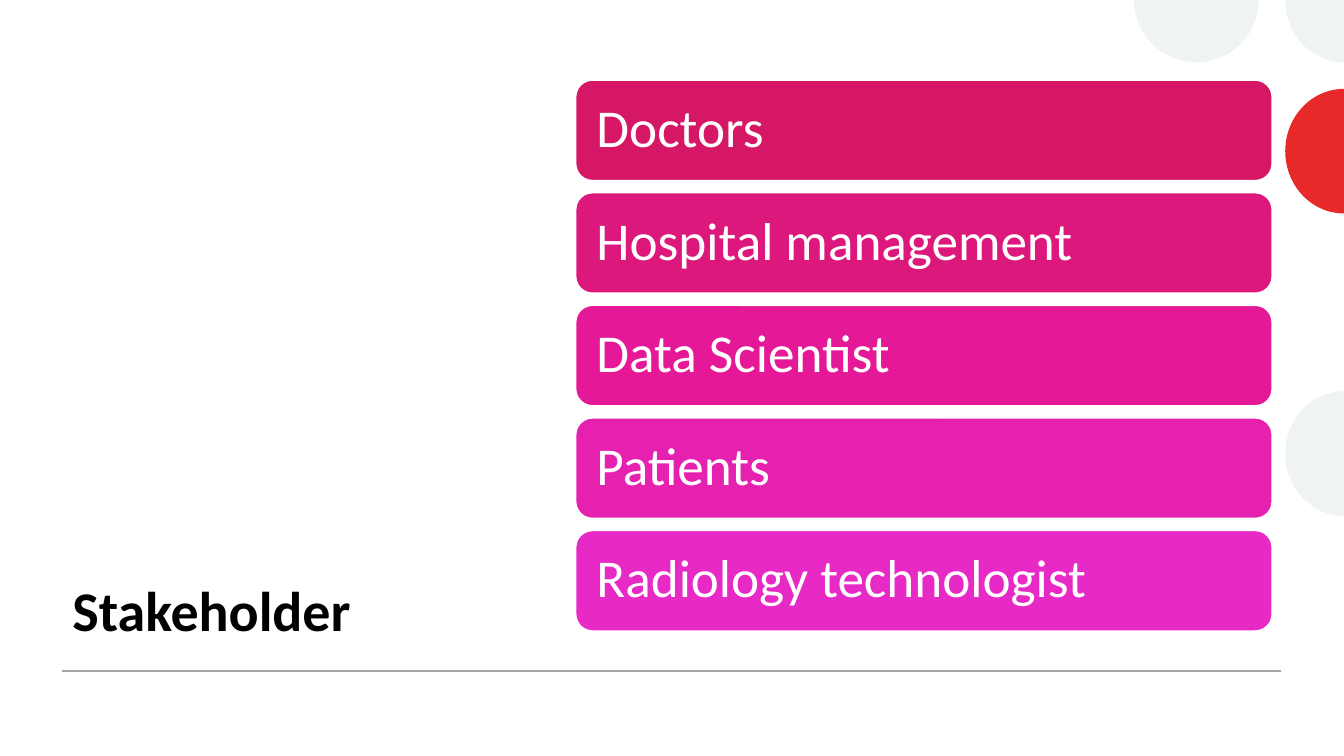
from lxml import etree
from pptx import Presentation
from pptx.dml.color import RGBColor
from pptx.enum.shapes import MSO_CONNECTOR, MSO_SHAPE
from pptx.enum.text import MSO_ANCHOR, PP_ALIGN
from pptx.oxml.ns import qn
from pptx.util import Cm, Pt

STRAIGHT = MSO_CONNECTOR.STRAIGHT
ROUNDED = MSO_SHAPE.ROUNDED_RECTANGLE
BOTTOM, MIDDLE = MSO_ANCHOR.BOTTOM, MSO_ANCHOR.MIDDLE
LEFT = PP_ALIGN.LEFT

WHITE = RGBColor(0xFF, 0xFF, 0xFF)
BLACK = RGBColor(0, 0, 0)
GREY = RGBColor(0xA6, 0xA6, 0xA6)
PALE = RGBColor(0xF0, 0xF3, 0xF3)
RED = RGBColor(0xE7, 0x2A, 0x29)

SLIDE_W, SLIDE_H = Cm(33.87), Cm(19.05)
TITLE_FONT = {"name": "Calibri", "size": Pt(40), "bold": True}
BAR_FONT = {"name": "Calibri", "size": Pt(38), "bold": False}
STAKEHOLDERS = [
    ("Doctors", RGBColor(0xD5, 0x17, 0x65)),
    ("Hospital management", RGBColor(0xDD, 0x18, 0x7D)),
    ("Data Scientist", RGBColor(0xE5, 0x19, 0x97)),
    ("Patients", RGBColor(0xE6, 0x21, 0xAF)),
    ("Radiology technologist", RGBColor(0xE7, 0x29, 0xC6)),
]
DOT_R, DOT_STEP = Cm(1.57), Cm(3.81)
QUARTER = 90 * 60000


def write(tf, text, anchor, spacing, color, font):
    """Put one left-aligned line of formatted text in a text frame."""
    tf.word_wrap = True
    tf.vertical_anchor = anchor
    p = tf.paragraphs[0]
    p.alignment = LEFT
    p.line_spacing = spacing
    r = p.add_run()
    r.text = text
    r.font.color.rgb = color
    for name, value in font.items():
        setattr(r.font, name, value)


def add_title(s, left, top, width, height):
    """Place and format the slide title."""
    sp = s.shapes.title
    sp.left, sp.top, sp.width, sp.height = left, top, width, height
    write(sp.text_frame, "Stakeholder", BOTTOM, 1.0, BLACK, TITLE_FONT)


def add_cut_dot(s, points, first_turn, arcs, color):
    """Draw a cut-off dot whose last segments are clockwise quarter arcs."""
    fb = s.shapes.build_freeform(*points[0])
    fb.add_line_segments(points[1:] + points[:1], close=True)
    sp = fb.convert_to_shape()
    sp.shadow.inherit = False
    sp.fill.solid()
    sp.fill.fore_color.rgb = color
    sp.line.fill.background()
    corners = points + points[:1]
    segments = list(sp._element.iter(qn("a:lnTo")))[-arcs:]
    for i, segment in enumerate(segments):
        (x0, y0), (x1, y1) = corners[i - arcs - 1], corners[i - arcs]
        arc = etree.Element(qn("a:arcTo"), {
            "wR": str(abs(x1 - x0)), "hR": str(abs(y1 - y0)),
            "stAng": str((first_turn + i) * QUARTER), "swAng": str(QUARTER)})
        segment.getparent().replace(segment, arc)


def add_dots(s, left, top, right):
    """Place dots cut by the top and right slide edges, from the first dot's left."""
    mid, end = left + DOT_R, left + 2 * DOT_R
    low = top + DOT_R
    add_cut_dot(s, [(left, top), (end, top), (mid, low)], 0, 2, PALE)
    edge = left + DOT_STEP
    for row, color in ((3, PALE), (1, RED)):
        cy = top + row * DOT_STEP
        points = [(right, cy - DOT_R), (right, cy + DOT_R), (edge, cy)]
        add_cut_dot(s, points, 1, 2, color)
    add_cut_dot(s, [(edge, top), (right, top), (right, low)], 1, 1, PALE)


def add_rule(s, left, top, width):
    """Draw the thin horizontal line at the foot of the slide."""
    line = s.shapes.add_connector(STRAIGHT, left, top, left + width, top)
    line.line.color.rgb = GREY
    line.line.width = Pt(1)
    etree.SubElement(line._element.spPr, qn("a:effectLst"))


def add_bars(s, left, top, width, height):
    """Stack one labelled bar per stakeholder in the given box."""
    bar_h = Cm(2.53)
    step = (height - bar_h) // (len(STAKEHOLDERS) - 1)
    for i, (text, color) in enumerate(STAKEHOLDERS):
        sp = s.shapes.add_shape(ROUNDED, left, top + i * step, width, bar_h)
        sp.shadow.inherit = False
        sp.fill.solid()
        sp.fill.fore_color.rgb = color
        sp.line.color.rgb = WHITE
        sp.line.width = Pt(1)
        tf = sp.text_frame
        for side in ("left", "top", "right", "bottom"):
            setattr(tf, f"margin_{side}", Cm(0.4))
        write(tf, text, MIDDLE, 0.9, WHITE, BAR_FONT)


def main():
    """Build and save the stakeholder slide."""
    prs = Presentation()
    prs.slide_width, prs.slide_height = SLIDE_W, SLIDE_H
    s = prs.slides.add_slide(prs.slide_layouts[5])
    s.background.fill.solid()
    s.background.fill.fore_color.rgb = WHITE
    add_title(s, Cm(1.57), Cm(6.91), Cm(10.03), Cm(9.42))
    add_dots(s, Cm(28.58), 0, SLIDE_W)
    add_rule(s, Cm(1.57), Cm(16.91), Cm(30.71))
    add_bars(s, Cm(14.51), Cm(2.02), Cm(17.55), Cm(13.88))
    prs.save("out.pptx")


if __name__ == "__main__":
    main()
